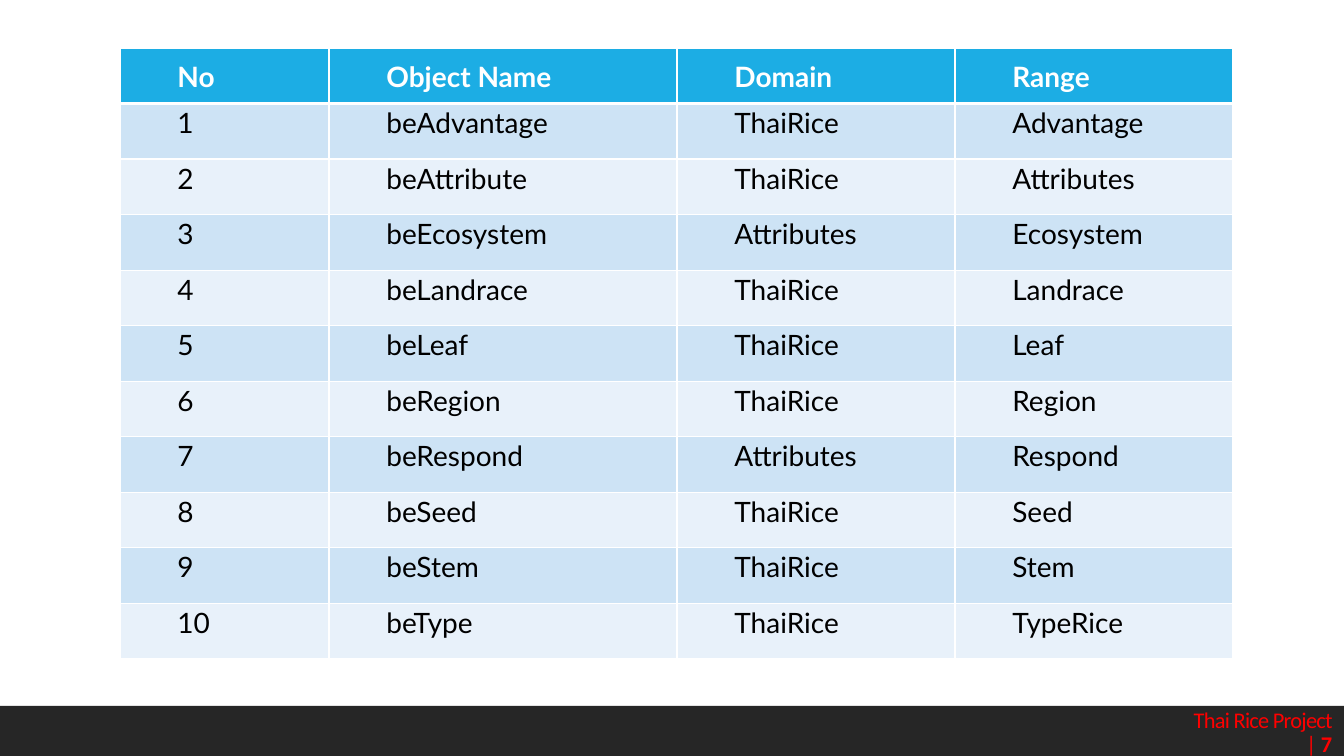
from lxml import etree
from pptx import Presentation
from pptx import util as u
from pptx.dml import color
from pptx.enum import shapes, text
from pptx.oxml import ns

COLORS = {
    "white": "FFFFFF", "black": "000000", "bar": "262626", "footer": "FF0000",
    "header": "1CADE4", "odd": "CDE3F5", "even": "E8F1FA",
}
HEADINGS = ["No", "Object Name", "Domain", "Range"]
PROPERTIES = [
    ("beAdvantage", "ThaiRice", "Advantage"),
    ("beAttribute", "ThaiRice", "Attributes"),
    ("beEcosystem", "Attributes", "Ecosystem"),
    ("beLandrace", "ThaiRice", "Landrace"),
    ("beLeaf", "ThaiRice", "Leaf"),
    ("beRegion", "ThaiRice", "Region"),
    ("beRespond", "Attributes", "Respond"),
    ("beSeed", "ThaiRice", "Seed"),
    ("beStem", "ThaiRice", "Stem"),
    ("beType", "ThaiRice", "TypeRice"),
]


def px(length):
    return u.Emu(round(length * 914400 / 100.8))


def rgb(name):
    return color.RGBColor.from_string(COLORS[name])


class SlideBuilder:
    table_font = "Lato"
    footer_font = "Calibri"

    def __init__(self, slide):
        self.slide = slide

    def bar(self, left, top, width, height):
        shape = self.slide.shapes.add_shape(
            shapes.MSO_SHAPE.RECTANGLE, px(left), px(top), px(width), px(height))
        shape.shadow.inherit = False
        shape.fill.solid()
        shape.fill.fore_color.rgb = rgb("bar")
        shape.line.fill.background()

    def run(self, paragraph, words, font, size, color_name, bold=False):
        run = paragraph.add_run()
        run.text = words
        run.font.name = font
        run.font.size = u.Pt(size)
        run.font.bold = bold
        run.font.color.rgb = rgb(color_name)
        return run

    def footer(self, left, top, width, height, runs):
        frame = self.slide.shapes.add_textbox(
            px(left), px(top), px(width), px(height)).text_frame
        frame.word_wrap = True
        frame.vertical_anchor = text.MSO_ANCHOR.MIDDLE
        paragraph = frame.paragraphs[0]
        paragraph.alignment = text.PP_ALIGN.RIGHT
        paragraph.line_spacing = 0.9
        for words, bold in runs:
            run = self.run(paragraph, words, self.footer_font, 16, "footer", bold)
            run.font._element.set("spc", "-50")

    def border(self, cell, side, points):
        line = etree.SubElement(cell._tc.get_or_add_tcPr(), ns.qn(f"a:ln{side}"),
                                w=str(u.Pt(points)))
        fill = etree.SubElement(line, ns.qn("a:solidFill"))
        etree.SubElement(fill, ns.qn("a:srgbClr"), val=COLORS["white"])

    def cell(self, cell, words, row, is_last_column):
        is_header = row == 0
        cell.margin_left = cell.margin_right = px(7)
        cell.margin_top = cell.margin_bottom = 0
        cell.vertical_anchor = text.MSO_ANCHOR.MIDDLE if is_header else text.MSO_ANCHOR.TOP
        widths = {"L": 1, "R": 1, "T": 3 if row == 1 else 1, "B": 3 if is_header else 1}
        for side, points in widths.items():
            self.border(cell, side, points)
        cell.fill.solid()
        cell.fill.fore_color.rgb = rgb("header" if is_header else "odd" if row % 2 else "even")
        paragraph = cell.text_frame.paragraphs[0]
        properties = paragraph._p.get_or_add_pPr()
        properties.set("marL", str(u.Inches(0.5)))
        properties.set("indent", "0")
        paragraph.line_spacing = 1.07
        if is_last_column:
            paragraph.space_after = u.Pt(8)
        self.run(paragraph, words, self.table_font, 20,
                 "white" if is_header else "black", is_header)

    def table(self, left, top, height, column_widths, rows):
        table = self.slide.shapes.add_table(
            len(rows), len(column_widths), px(left), px(top),
            px(sum(column_widths)), px(height)).table
        for column, width in zip(table.columns, column_widths):
            column.width = px(width)
        for row, values in enumerate(rows):
            table.rows[row].height = px(height / len(rows))
            for column, words in enumerate(values):
                self.cell(table.cell(row, column), words, row,
                          column == len(column_widths) - 1)


def main():
    presentation = Presentation()
    presentation.slide_width = px(1344)
    presentation.slide_height = px(756)
    slide = presentation.slides.add_slide(presentation.slide_layouts[6])
    builder = SlideBuilder(slide)
    builder.bar(0, 706, 1344, 50)
    builder.footer(1171, 712, 171, 43, [("Thai Rice Project | ", False), ("7", True)])
    numbered = [(str(number), *names) for number, names in enumerate(PROPERTIES, 1)]
    builder.table(120, 48, 611, [209, 348, 278, 278], [HEADINGS, *numbered])
    presentation.save("out.pptx")


if __name__ == "__main__":
    main()
